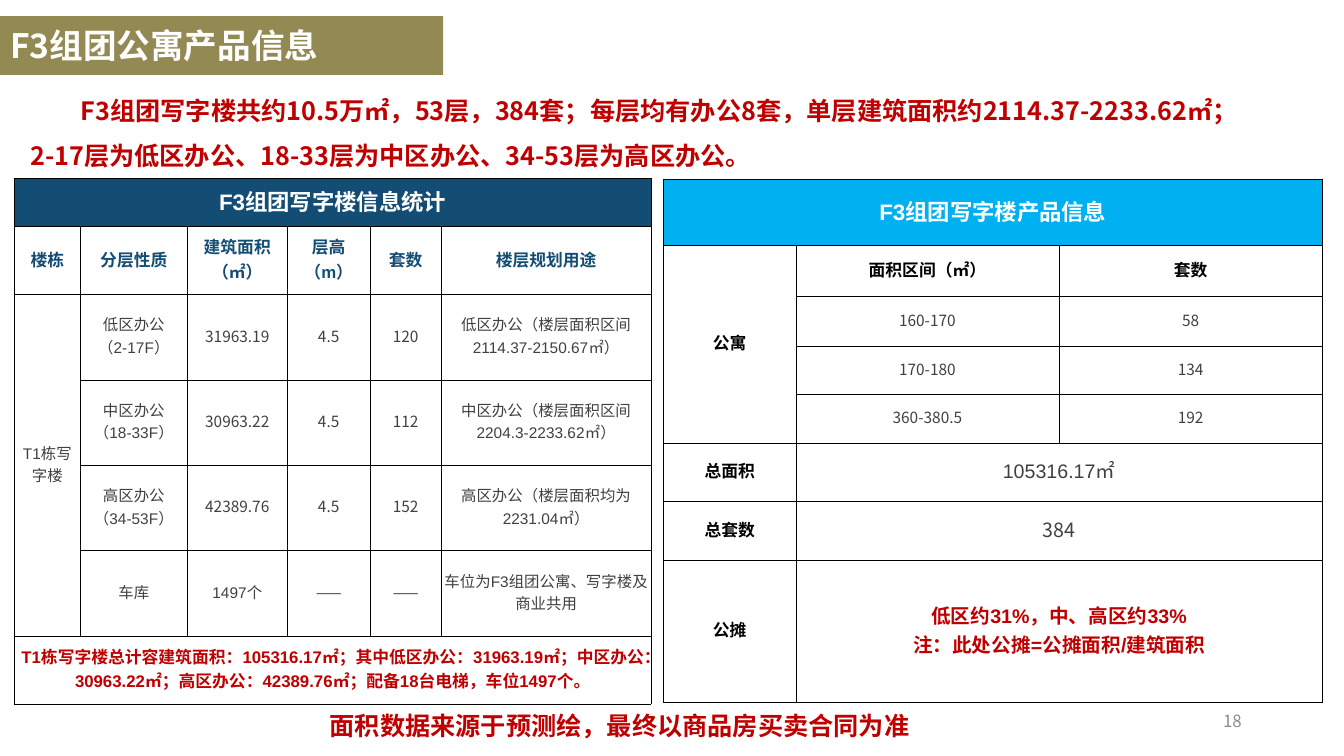
"""Build the slide on the F3 office tower with its two data tables."""
from lxml.etree import SubElement
from pptx import Presentation
from pptx.dml.color import RGBColor
from pptx.enum.text import MSO_ANCHOR, MSO_AUTO_SIZE, PP_ALIGN
from pptx.oxml import parse_xml
from pptx.oxml.ns import nsdecls, qn
from pptx.util import Pt

SANS = "Noto Sans CJK SC"
LATIN = "Arial"
RED = "C00000"

TITLE = "F3组团公寓产品信息"
INTRO = ("F3组团写字楼共约10.5万㎡，53层，384套；每层均有办公8套，单层建筑面积约2114.37-2233.62㎡；"
         "2-17层为低区办公、18-33层为中区办公、34-53层为高区办公。")
SOURCE_NOTE = "面积数据来源于预测绘，最终以商品房买卖合同为准"
PAGE_NUMBER = "18"

# style: size, colour, bold, fill
STYLES = {
    "navy head": (16, "FFFFFF", True, "144D73"),
    "blue head": (16, "FFFFFF", True, "00B0F0"),
    "navy label": (12, "144D73", True, "FFFFFF"),
    "black label": (12, "000000", True, "FFFFFF"),
    "body": (11, "404040", False, "FFFFFF"),
    "total": (14, "404040", False, "FFFFFF"),
    "summary": (12, RED, True, "FFFFFF"),
    "remark": (14, RED, True, "FFFFFF"),
}

# row: height, style of the first column, style of the others, texts
FLOOR_ROWS = [
    (34.5, "navy head", "navy head", ["F3组团写字楼信息统计"]),
    (48.5, "navy label", "navy label",
     ["楼栋", "分层性质", "建筑面积\n（㎡）", "层高\n（m）", "套数", "楼层规划用途"]),
    (61, "body", "body", ["T1栋写字楼", "低区办公\n（2-17F）", "31963.19", "4.5", "120",
                          "低区办公（楼层面积区间2114.37-2150.67㎡）"]),
    (61, "body", "body", ["", "中区办公\n（18-33F）", "30963.22", "4.5", "112",
                          "中区办公（楼层面积区间2204.3-2233.62㎡）"]),
    (61, "body", "body", ["", "高区办公\n（34-53F）", "42389.76", "4.5", "152",
                          "高区办公（楼层面积均为2231.04㎡）"]),
    (61, "body", "body", ["", "车库", "1497个", "——", "——", "车位为F3组团公寓、写字楼及商业共用"]),
    (48.5, "summary", "summary",
     ["T1栋写字楼总计容建筑面积：105316.17㎡；其中低区办公：31963.19㎡；中区办公：30963.22㎡；"
      "高区办公：42389.76㎡；配备18台电梯，车位1497个。"]),
]
PRODUCT_ROWS = [
    (47, "blue head", "blue head", ["F3组团写字楼产品信息"]),
    (36.5, "black label", "black label", ["公寓", "面积区间（㎡）", "套数"]),
    (35.5, "black label", "body", ["", "160-170", "58"]),
    (34.5, "black label", "body", ["", "170-180", "134"]),
    (35, "black label", "body", ["", "360-380.5", "192"]),
    (41.5, "black label", "total", ["总面积", "105316.17㎡"]),
    (42, "black label", "total", ["总套数", "384"]),
    (101.5, "black label", "remark",
     ["公摊", "低区约31%，中、高区约33%\n注：此处公摊=公摊面积/建筑面积"]),
]

# table: left, top, column widths, rows, first and last row of the tall first cell
TABLES = [
    (10.2, 127.5, [47.2, 76.4, 71.4, 59.3, 50.7, 150], FLOOR_ROWS, (2, 5)),
    (474, 128.2, [94.5, 188, 188], PRODUCT_ROWS, (1, 4)),
]


def color(value):
    return RGBColor.from_string(value)


def format_text(frame, size, tint, bold, face=SANS, align=PP_ALIGN.LEFT):
    for para in frame.paragraphs:
        para.alignment = align
        for span in para.runs:
            font = span.font
            font.size, font.bold, font.name = Pt(size), bold, face
            font.color.rgb = color(tint)
            SubElement(font._element, qn("a:ea")).set("typeface", SANS)


def add_text(page, text, place, size, tint, bold, align=PP_ALIGN.LEFT):
    box = page.shapes.add_textbox(*map(Pt, place))
    frame = box.text_frame
    frame.word_wrap = True
    frame.text = text
    format_text(frame, size, tint, bold, align=align)
    return frame


def add_borders(cell):
    properties = cell._tc.get_or_add_tcPr()
    for index, side in enumerate(("lnL", "lnR", "lnT", "lnB")):
        properties.insert(index, parse_xml(
            f'<a:{side} {nsdecls("a")} w="6350"><a:solidFill>'
            f'<a:srgbClr val="000000"/></a:solidFill></a:{side}>'))


def fill_cell(cell, text, style):
    size, tint, bold, fill = STYLES[style]
    cell.fill.solid()
    cell.fill.fore_color.rgb = color(fill)
    add_borders(cell)
    cell.vertical_anchor = MSO_ANCHOR.MIDDLE
    cell.margin_left = cell.margin_right = cell.margin_top = Pt(0.75)
    cell.margin_bottom = Pt(3.6)
    cell.text_frame.text = text
    numeric = all(letter in "0123456789.-—" for letter in text)
    format_text(cell.text_frame, size, tint, bold, SANS if numeric else LATIN, PP_ALIGN.CENTER)


def add_data_table(page, left, top, widths, rows, tall):
    heights = [row[0] for row in rows]
    place = (left, top, sum(widths), sum(heights))
    table = page.shapes.add_table(len(rows), len(widths), *map(Pt, place)).table
    for column, width in zip(table.columns, widths):
        column.width = Pt(width)
    last = len(widths) - 1
    for index, (height, first_style, other_style, texts) in enumerate(rows):
        table.rows[index].height = Pt(height)
        for position in range(len(widths)):
            text = texts[position] if position < len(texts) else ""
            style = other_style if position else first_style
            fill_cell(table.cell(index, position), text, style)
        if len(texts) <= last:
            table.cell(index, len(texts) - 1).merge(table.cell(index, last))
    table.cell(tall[0], 0).merge(table.cell(tall[1], 0))


def add_title(page):
    title = page.shapes.title
    title.left, title.top, title.width, title.height = map(Pt, (0, 11.5, 316.5, 42))
    title.fill.solid()
    title.fill.fore_color.rgb = color("938953")
    frame = title.text_frame
    frame.text = TITLE
    frame.auto_size = MSO_AUTO_SIZE.NONE
    frame.vertical_anchor = MSO_ANCHOR.MIDDLE
    format_text(frame, 24, "FFFFFF", True)


def main():
    deck = Presentation()
    deck.slide_width, deck.slide_height = Pt(960), Pt(540)
    page = deck.slides.add_slide(deck.slide_layouts[5])
    add_title(page)
    number = add_text(page, PAGE_NUMBER, (678, 500.5, 216, 29), 12, "8C8C8C", False, PP_ALIGN.RIGHT)
    number.vertical_anchor = MSO_ANCHOR.MIDDLE
    intro = add_text(page, INTRO, (14.5, 53.5, 890, 73), 18, RED, True).paragraphs[0]
    intro.line_spacing = 1.5
    intro._p.get_or_add_pPr().set("indent", str(Pt(36)))
    add_text(page, SOURCE_NOTE, (228.5, 504, 504, 29), 18, RED, True)
    for table in TABLES:
        add_data_table(page, *table)
    deck.save("out.pptx")


if __name__ == "__main__":
    main()
